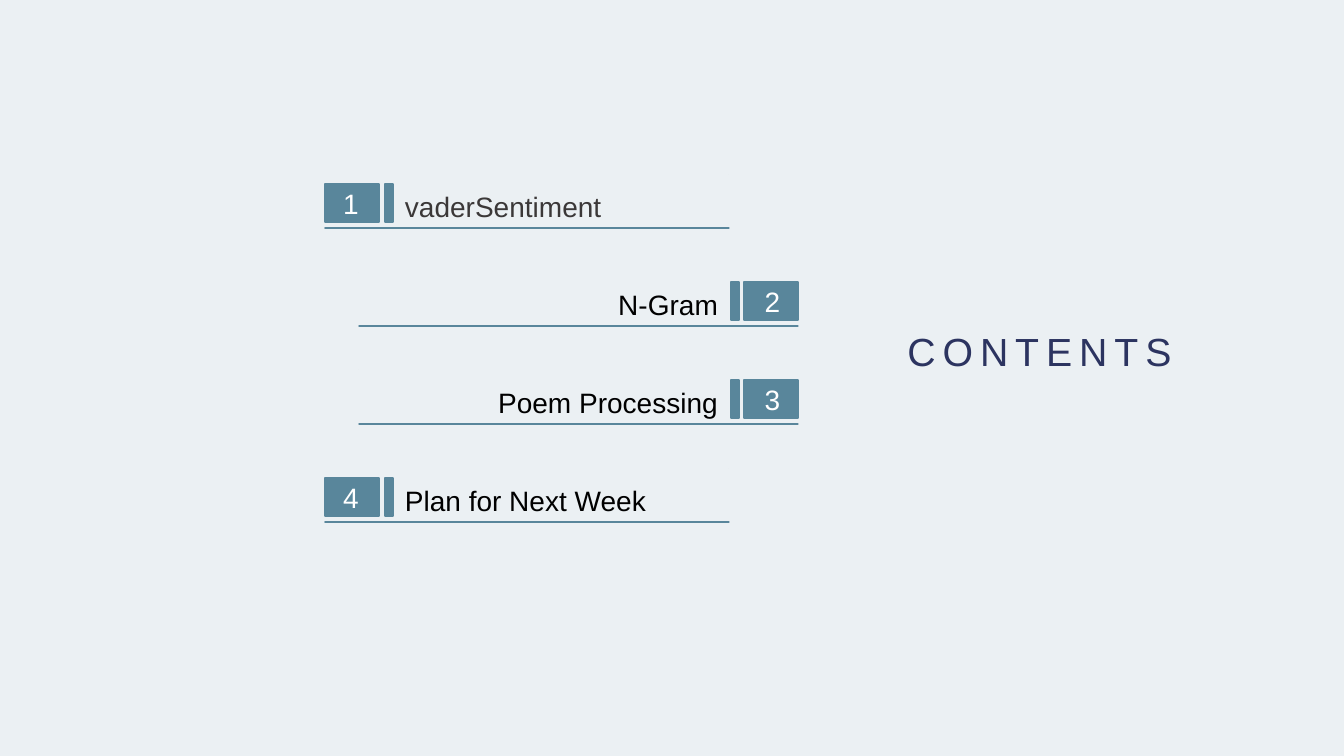
from pptx import Presentation
from pptx.dml.color import RGBColor
from pptx.enum.text import MSO_ANCHOR as ANCHOR, PP_ALIGN as ALIGN
from pptx.util import Pt

# Content: label, side of the badge, label colour
ITEMS = [
    ("vaderSentiment", "left", "3B3838"),
    ("N-Gram", "right", "000000"),
    ("Poem Processing", "right", "000000"),
    ("Plan for Next Week", "left", "000000"),
]
TITLE = "CONTENTS"
FONT, TEAL, LILAC, NAVY = "Arial", "59869B", "797DAA", "2C3460"
WHITE, PALE = "FFFFFF", "EBF0F3"

# Layout in px
PX = 914400 / 100.8
FIRST_TOP, PITCH = 184, 98
BADGE_H, BOX_W, BAR_W, NUMBER_INSET = 38, 54, 8, 16
LABEL_RISE, RULE_DROP, LABEL_INSET = 10, 44, 80
# box x, bar x, rule end at the badge, far rule end, label alignment
SIDES = {
    "left": (325, 385, 325, 729, ALIGN.LEFT),
    "right": (744, 731, 798, 359, ALIGN.RIGHT),
}


def px(n):
    return round(n * PX)


def rgb(color):
    return RGBColor.from_string(color)


def write(sp, text, size, color, align, insets=(0, 0), spacing=None):
    tf = sp.text_frame
    tf.text = text
    tf.vertical_anchor = ANCHOR.MIDDLE
    tf.margin_left, tf.margin_right = (px(n) for n in insets)
    tf.margin_top = tf.margin_bottom = 0
    p = tf.paragraphs[0]
    p.alignment = align
    p.line_spacing = spacing
    r = p.runs[0]
    r.font.name, r.font.size, r.font.color.rgb = FONT, Pt(size), rgb(color)
    return r


def add_outline(contours, fill, weight):
    """Draw closed contours, each a list of points, as one shape."""
    builder = s.shapes.build_freeform(*contours[0][0], scale=PX)
    for n, (first, *rest) in enumerate(contours):
        if n:
            builder.move_to(*first)
        builder.add_line_segments(rest, close=True)
    sp = builder.convert_to_shape()
    sp.shadow.inherit = False
    sp.fill.solid()
    sp.fill.fore_color.rgb = rgb(fill)
    sp.line.color.rgb, sp.line.width = rgb(TEAL), Pt(weight)
    return sp


def box(x, y, w, h):
    return [(x, y), (x + w, y), (x + w, y + h), (x, y + h)]


def on_side(side, inset):
    return (inset, 0) if side == "left" else (0, inset)


prs = Presentation()
prs.slide_width, prs.slide_height = px(1344), px(756)
s = prs.slides.add_slide(prs.slide_layouts[5])
s.background.fill.solid()
s.background.fill.fore_color.rgb = rgb(PALE)

# Title
title = s.shapes.title
title.left, title.top, title.width, title.height = px(874), px(311), px(331), px(80)
r = write(title, TITLE, 28, NAVY, ALIGN.CENTER)
r._r.get_or_add_rPr().set("spc", "500")
title.text_frame.word_wrap = False

# Numbered entries: badge, then label standing on its rule
for i, (label, side, color) in enumerate(ITEMS):
    top = FIRST_TOP + i * PITCH
    box_x, bar_x, near, far, align = SIDES[side]
    badge = add_outline(
        [box(bar_x, top, BAR_W, BADGE_H), box(box_x, top, BOX_W, BADGE_H)], TEAL, 2)
    number_insets = on_side(side, NUMBER_INSET)[::-1]
    write(badge, str(i + 1), 20, WHITE, ALIGN.CENTER, number_insets)

    rule_y, label_y = top + RULE_DROP, top - LABEL_RISE
    rule = [(far, rule_y), (near, rule_y), (far, rule_y)]
    corner = [(far, label_y)] * 3
    entry = add_outline([rule, corner], LILAC, 1)
    write(entry, label, 20, color, align, on_side(side, LABEL_INSET), 1.3)

prs.save("out.pptx")
